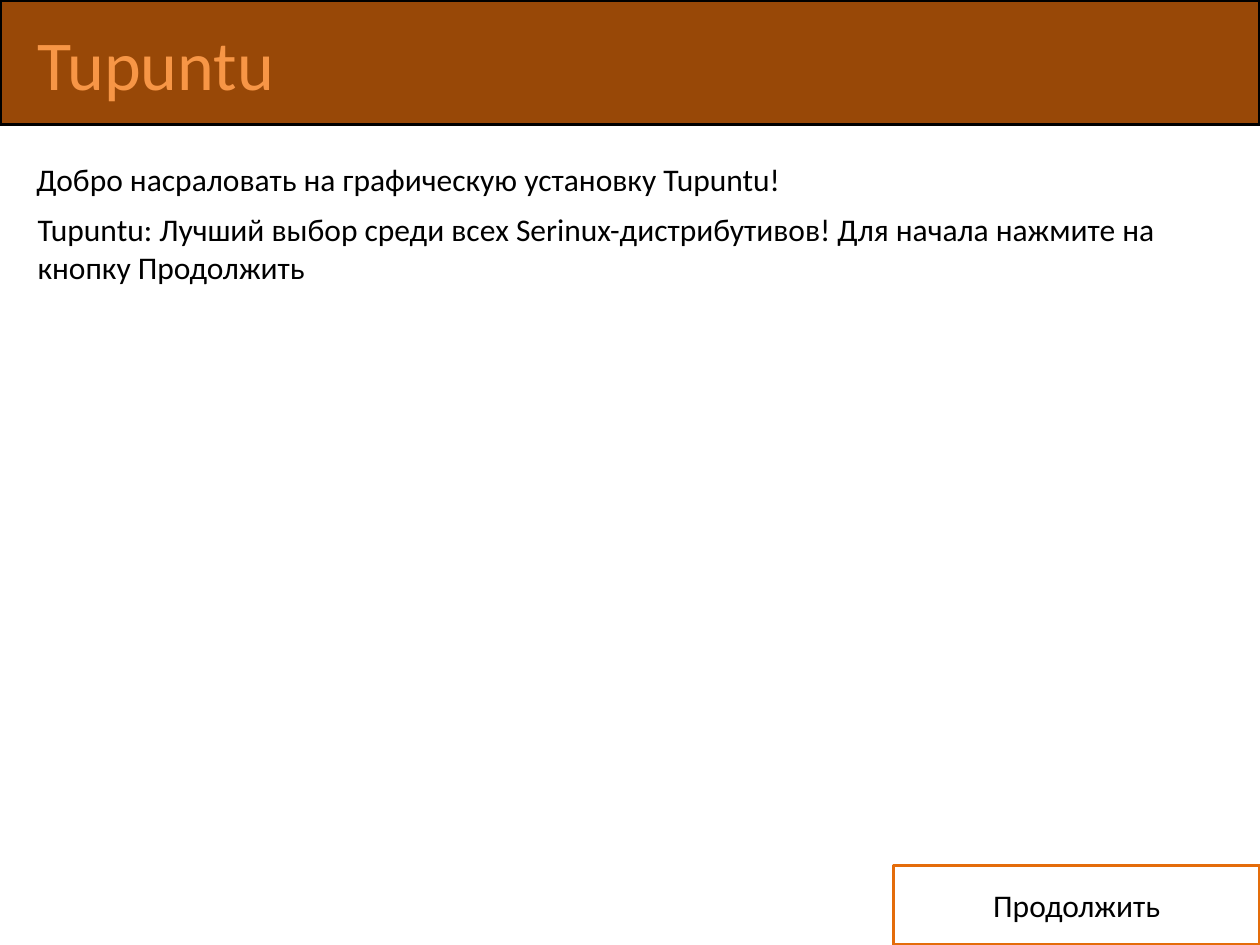
from pptx import Presentation
from pptx.dml.color import RGBColor as RGB
from pptx.enum.shapes import MSO_SHAPE as Shape
from pptx.enum.text import MSO_ANCHOR as Anchor, MSO_AUTO_SIZE as Fit, PP_ALIGN as Align
from pptx.util import Inches, Pt

HUES = {"band": "984807", "title": "F79646", "edge": "E46C0A",
        "ink": "000000", "paper": "FFFFFF"}

deck = Presentation()
deck.slide_width, deck.slide_height = Inches(10), Inches(7.5)
wide, high = deck.slide_width, deck.slide_height
page = deck.slides.add_slide(deck.slide_layouts[5])


def place(x, y, w, h):
    """Turn shares of the slide's size into a box."""
    return int(x * wide), int(y * high), int(w * wide), int(h * high)


def write(shape, text, size, hue, **form):
    frame = shape.text_frame
    frame.text = text
    look = {"word_wrap": True, "auto_size": Fit.NONE, "vertical_anchor": Anchor.TOP}
    for key, value in (look | form).items():
        setattr(frame, key, value)
    para = frame.paragraphs[0]
    para.alignment = Align.LEFT
    for key, value in {"name": "Calibri", "size": Pt(size)}.items():
        setattr(para.runs[0].font, key, value)
    para.runs[0].font.color.rgb = RGB.from_string(HUES[hue])
    return para


# Header band and button
boxes = []
for box, fill, edge in [
    ((0, 0, 1, 0.132), "band", "ink"),
    ((0.709, 0.916, 0.291, 0.084), "paper", "edge"),
]:
    shape = page.shapes.add_shape(Shape.RECTANGLE, *place(*box))
    shape.shadow.inherit = False
    shape.fill.solid()
    shape.fill.fore_color.rgb = RGB.from_string(HUES[fill])
    shape.line.color.rgb = RGB.from_string(HUES[edge])
    shape.line.width = Pt(2)
    boxes.append(shape)
band, button = boxes
label = write(button, "Продолжить", 18, "ink", vertical_anchor=Anchor.MIDDLE)
label.alignment = Align.CENTER

# Title, in front of the band
title = page.shapes.title
spot = place(0.02, 0.015, 0.21, 0.103)
for key, value in zip(("left", "top", "width", "height"), spot):
    setattr(title, key, value)
write(title, "Tupuntu", 40, "title", word_wrap=False, auto_size=Fit.SHAPE_TO_FIT_TEXT)
band.element.addnext(title.element)

# Welcome text
for box, text, wrap in [
    ((0.019, 0.163, 0.618, 0.053),
     "Добро насраловать на графическую установку Tupuntu!", False),
    ((0.02, 0.216, 0.98, 0.095),
     "Tupuntu: Лучший выбор среди всех Serinux-дистрибутивов! "
     "Для начала нажмите на кнопку Продолжить", True),
]:
    note = page.shapes.add_textbox(*place(*box))
    write(note, text, 18, "ink", word_wrap=wrap, auto_size=Fit.SHAPE_TO_FIT_TEXT)

deck.save("out.pptx")
